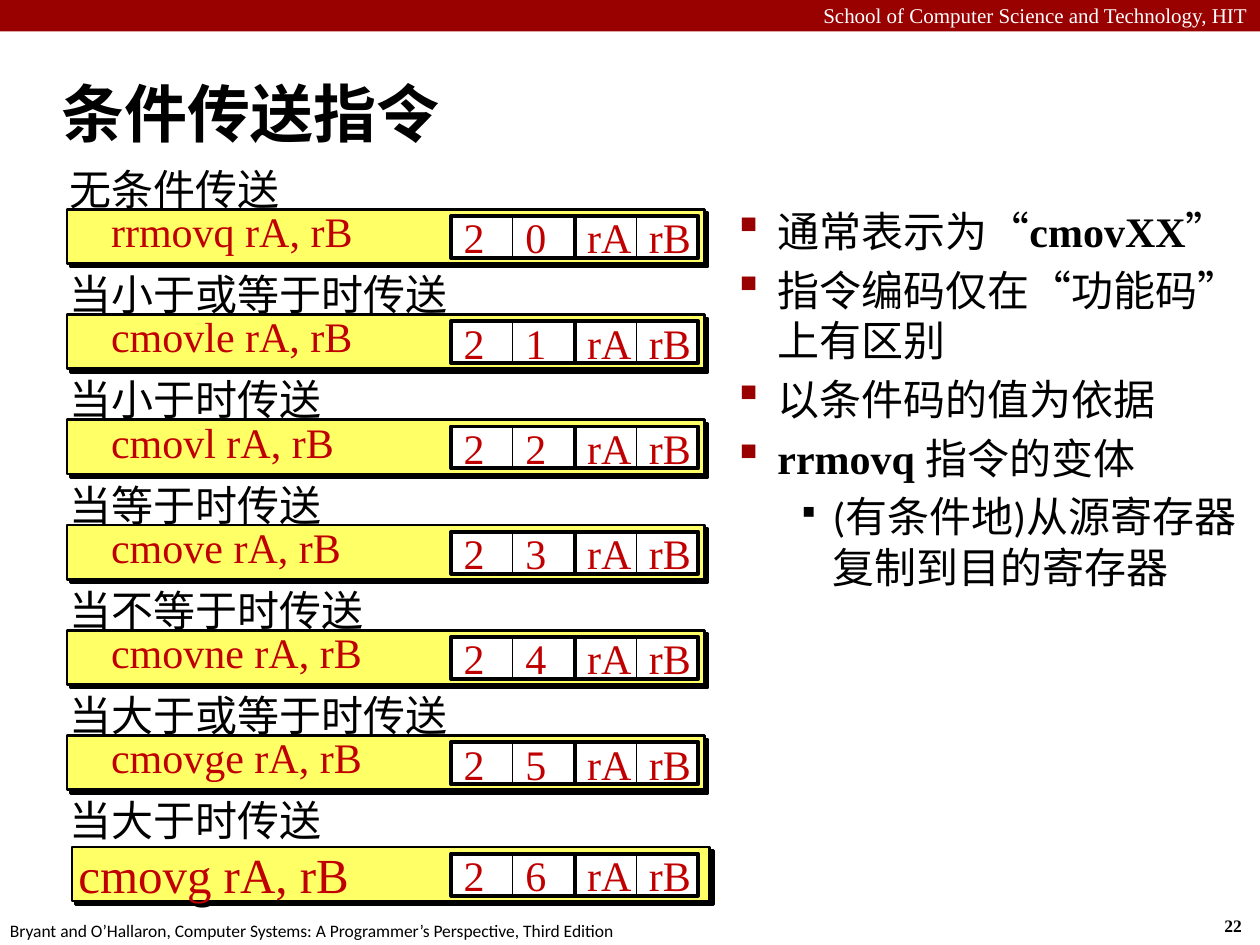
from lxml.etree import SubElement
from pptx import Presentation
from pptx.dml.color import RGBColor
from pptx.enum.shapes import MSO_SHAPE
from pptx.enum.text import MSO_ANCHOR, MSO_AUTO_SIZE, PP_ALIGN
from pptx.oxml.ns import qn
from pptx.util import Pt

SERIF = "Times New Roman"
SANS = "Calibri"
BLACK, WHITE, CRIMSON, RED, YELLOW = "000000", "FFFFFF", "990000", "C00000", "FFFF66"
MARGINS = ("margin_left", "margin_top", "margin_right", "margin_bottom")
TIGHT = dict.fromkeys(MARGINS, Pt(3.6))
GROWING = {"word_wrap": False, "auto_size": MSO_AUTO_SIZE.SHAPE_TO_FIT_TEXT}
MIDDLE = {"word_wrap": False, "vertical_anchor": MSO_ANCHOR.MIDDLE}

INSTRUCTIONS = [
    ("无条件传送", "rrmovq rA, rB"),
    ("当小于或等于时传送", "cmovle rA, rB"),
    ("当小于时传送", "cmovl rA, rB"),
    ("当等于时传送", "cmove rA, rB"),
    ("当不等于时传送", "cmovne rA, rB"),
    ("当大于或等于时传送", "cmovge rA, rB"),
    ("当大于时传送", "cmovg rA, rB"),
]

NOTES = [
    (1, [("通常表示为“", False), ("cmovXX", True), ("”", False)]),
    (1, [("指令编码仅在“功能码” 上有区别", False)]),
    (1, [("以条件码的值为依据", False)]),
    (1, [("rrmovq ", True), ("指令的变体", False)]),
    (2, [("(有条件地)从源寄存器复制到目的寄存器", False)]),
]

BULLETS = {
    1: {"marL": Pt(58.5), "indent": Pt(-22.5), "size": "110000", "color": CRIMSON},
    2: {"marL": Pt(90), "indent": Pt(-18), "size": "80000", "color": BLACK},
}


def rgb(value):
    return RGBColor.from_string(value)


def apply(target, formats):
    for name, value in formats.items():
        setattr(target, name, value)


def points(box):
    return [Pt(round(length, 2)) for length in box]


def add_run(paragraph, words, size, color=BLACK, face=SERIF, bold=False):
    run = paragraph.add_run()
    run.text = words
    apply(run.font, {"size": Pt(size), "name": face, "bold": bold})
    run.font.color.rgb = rgb(color)


def write(holder, words, frame_format, size, color=BLACK, face=SERIF, bold=False,
          alignment=PP_ALIGN.LEFT):
    apply(holder.text_frame, frame_format)
    paragraph = holder.text_frame.paragraphs[0]
    paragraph.alignment = alignment
    add_run(paragraph, words, size, color, face, bold)
    return paragraph


def set_indent(paragraph, left, first):
    properties = paragraph._p.get_or_add_pPr()
    properties.set("marL", str(int(left)))
    properties.set("indent", str(int(first)))
    return properties


def add_rect(shapes, box, fill=None, outline=None):
    rect = shapes.add_shape(MSO_SHAPE.RECTANGLE, *points(box))
    rect.shadow.inherit = False
    if fill:
        rect.fill.solid()
        rect.fill.fore_color.rgb = rgb(fill)
    else:
        rect.fill.background()
    if outline:
        rect.line.color.rgb = rgb(BLACK)
        rect.line.width = Pt(outline)
    else:
        rect.line.fill.background()
    return rect


def add_band(shapes, box):
    band = add_rect(shapes, box, YELLOW, 1.5)
    effects = band._element.spPr.find(qn("a:effectLst"))
    shadow = SubElement(effects, qn("a:outerShdw"), blurRad="0", dist=str(int(Pt(2.8))),
                        dir="2700000", algn="ctr", rotWithShape="0")
    SubElement(shadow, qn("a:srgbClr"), val=BLACK)
    return band


def add_header(slide, box):
    left, top, width, height = box
    add_rect(slide.shapes, box, CRIMSON)
    school = slide.shapes.add_textbox(*points((left, top - 2, width, 21.8)))
    write(school, "School of Computer Science and Technology, HIT", {"word_wrap": True},
          12, WHITE, alignment=PP_ALIGN.RIGHT)


def add_footer(slide, box):
    left, top, width, height = box
    citation = slide.shapes.add_textbox(*points((left - 1.4, top + 2.9, 366, height)))
    write(citation, "Bryant and O’Hallaron, Computer Systems: "
          "A Programmer’s Perspective, Third Edition", GROWING, 10, face=SANS)
    number = slide.shapes.add_textbox(*points((left + width - 27.4, top, 26.6, height)))
    write(number, "22", GROWING, 10, bold=True)


def add_title(slide, box):
    title = slide.shapes.add_textbox(*points(box))
    paragraph = write(title, "条件传送指令", MIDDLE | {"word_wrap": True}, 36, face=SANS,
                      bold=True)
    set_indent(paragraph, Pt(9.36), Pt(-9.36))


def add_encoding(shapes, box, fields):
    left, top, width, height = box
    cell = width / len(fields)
    for start in range(0, len(fields), 2):
        for place in (start, start + 1):
            field = add_rect(shapes, (left + place * cell, top, cell, height), WHITE, 0.5)
            write(field, fields[place], MIDDLE, 24, RED)
        add_rect(shapes, (left + start * cell, top, 2 * cell, height), outline=2.25)


def add_instruction(slide, box, condition, mnemonic, code, in_band):
    left, top, width, height = box
    shapes = slide.shapes.add_group_shape().shapes
    band_left, band_top = (left + 5.2, top + 33.3) if in_band else (left + 2.3, top + 29.8)
    band = add_band(shapes, (band_left, band_top, width, 31))
    if in_band:
        write(band, mnemonic, MIDDLE | TIGHT | {"word_wrap": True}, 28, RED)
    else:
        assembly = shapes.add_textbox(*points((left + 20.4, top + 30, 165, 24)))
        write(assembly, mnemonic, MIDDLE, 24, RED)
    label = shapes.add_textbox(*points((left, top, 24.3 * len(condition) + 6.7, 36)))
    write(label, condition, GROWING | TIGHT, 24)
    add_encoding(shapes, (left + 221.8, band_top + 3.8, 141.2, 24),
                 ("2", str(code), "rA", "rB"))


def add_instructions(slide, box):
    left, top, width, height = box
    pitch = height / len(INSTRUCTIONS)
    last = len(INSTRUCTIONS) - 1
    for code, (condition, mnemonic) in enumerate(INSTRUCTIONS):
        add_instruction(slide, (left, top + code * pitch, width, pitch),
                        condition, mnemonic, code, code == last)


def add_notes(slide, box):
    notes = slide.shapes.add_textbox(*points(box))
    notes.text_frame.word_wrap = True
    for order, (level, runs) in enumerate(NOTES):
        paragraph = notes.text_frame.add_paragraph() if order else notes.text_frame.paragraphs[0]
        bullet = BULLETS[level]
        properties = set_indent(paragraph, bullet["marL"], bullet["indent"])
        SubElement(SubElement(properties, qn("a:buClr")), qn("a:srgbClr"), val=bullet["color"])
        SubElement(properties, qn("a:buSzPct"), val=bullet["size"])
        SubElement(properties, qn("a:buFont"), typeface="Wingdings", charset="2")
        SubElement(properties, qn("a:buChar"), char="§")
        apply(paragraph, {"level": level, "space_before": Pt(4.8 if order else 0)})
        for words, is_code in runs:
            add_run(paragraph, words, 24, face=SERIF if is_code else SANS, bold=is_code)


def main():
    deck = Presentation()
    apply(deck, {"slide_width": Pt(720), "slide_height": Pt(540)})
    slide = deck.slides.add_slide(deck.slide_layouts[6])
    add_header(slide, (0, 0, 720, 18))
    add_footer(slide, (0, 519.2, 720, 19.4))
    add_title(slide, (28, 34.2, 692, 60))
    add_notes(slide, (378.7, 113.8, 341.3, 411))
    add_instructions(slide, (36, 89.8, 364.4, 421))
    deck.save("out.pptx")


if __name__ == "__main__":
    main()
